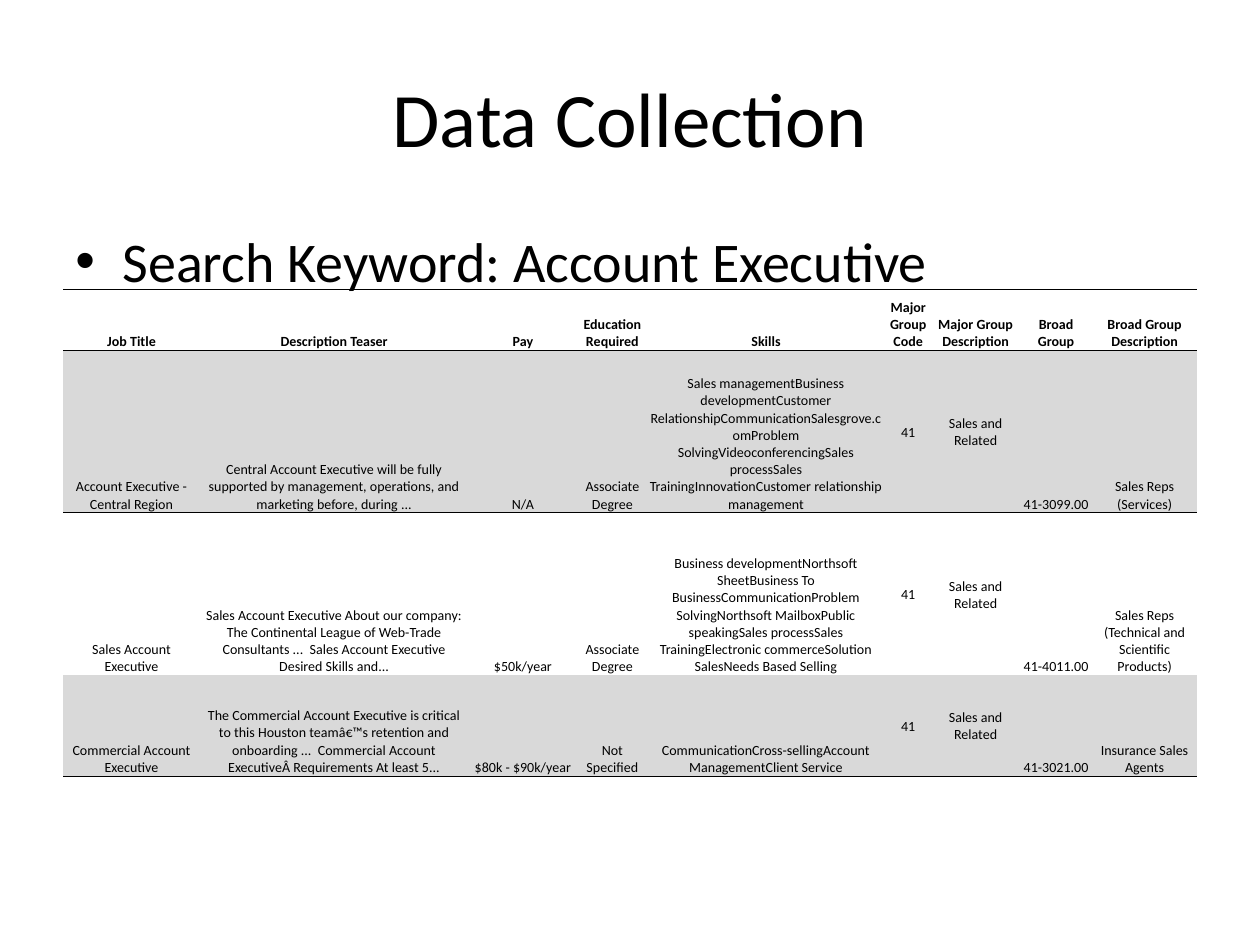
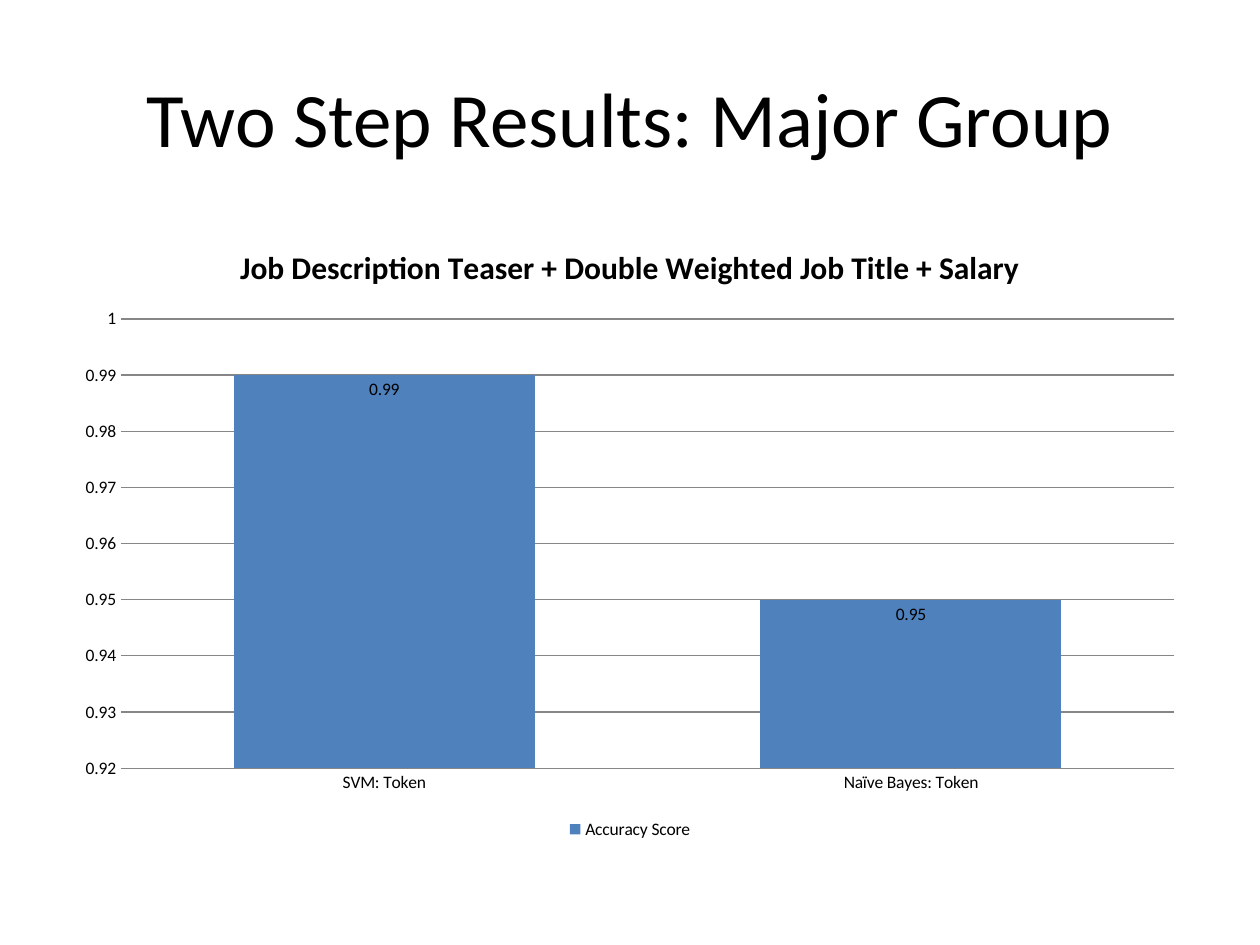
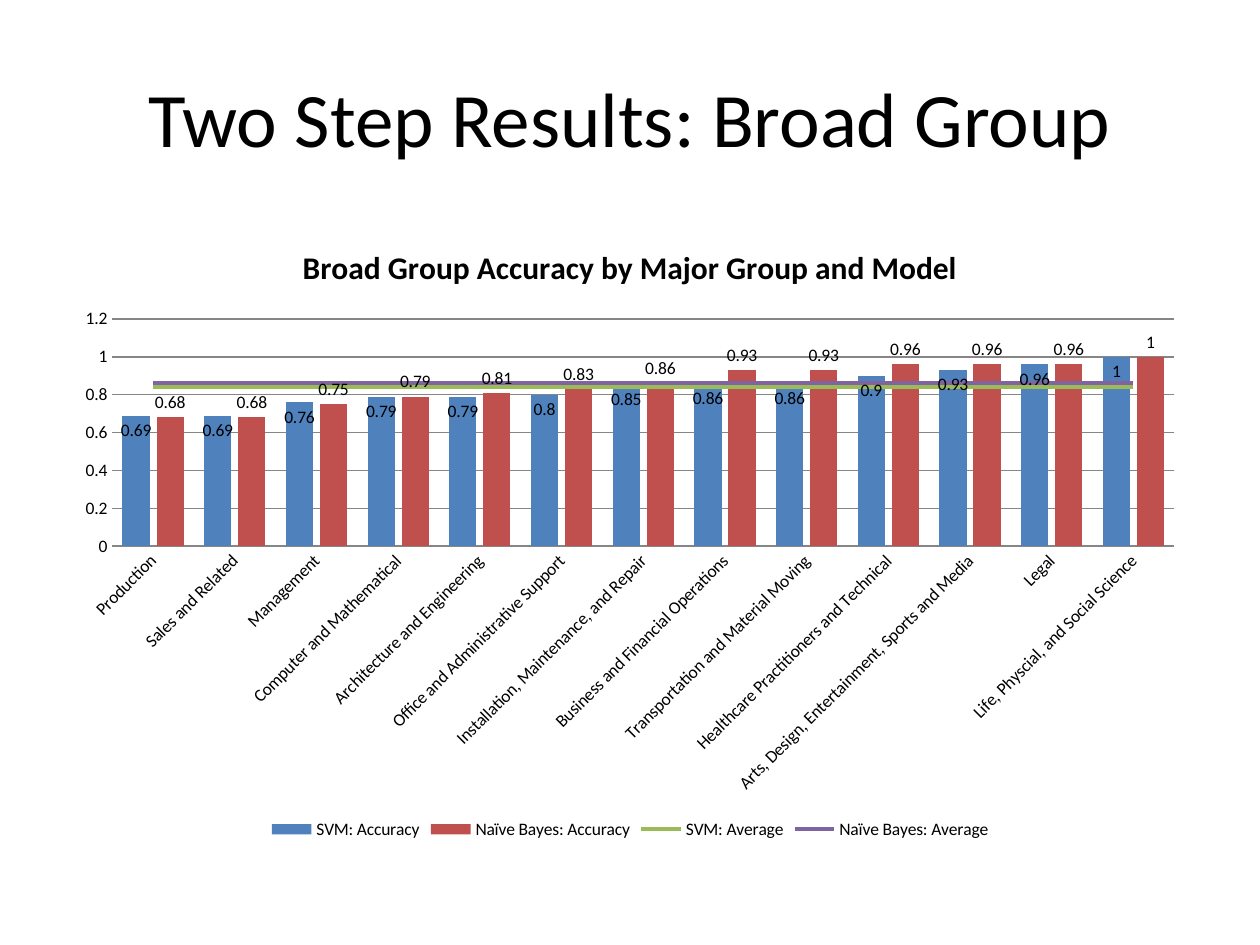
from dataclasses import dataclass, field

from lxml import etree
from pptx import Presentation
from pptx import oxml
from pptx.chart.chart import Chart
from pptx.chart.data import CategoryChartData
from pptx.dml import color
from pptx.enum import chart as ch, text as tx
from pptx.oxml import ns
from pptx.presentation import Presentation as Deck
from pptx.slide import Slide
from pptx.table import Table, _Cell
from pptx.text.text import TextFrame, _Paragraph
from pptx.util import Pt


@dataclass(frozen=True)
class Theme:
    font: str = "Calibri"
    ink: str = "000000"
    band: str = "D9D9D9"
    grid: str = "868686"
    blue: str = "4F81BD"
    red: str = "C0504D"
    green: str = "9BBB59"
    plum: str = "8064A2"
    title: float = 44
    body: float = 32
    head: float = 18
    chart: float = 10
    cell: float = 8
    rule: float = 0.5
    axis: float = 0.75
    line: float = 2.25


@dataclass(frozen=True)
class Box:
    left: float
    top: float
    width: float
    height: float

    def spots(self) -> tuple[Pt, ...]:
        return Pt(self.left), Pt(self.top), Pt(self.width), Pt(self.height)


@dataclass(frozen=True)
class Set:
    """One chart series; a label place of None means no labels."""
    name: str
    vals: list[float]
    hue: str
    label: ch.XL_LABEL_POSITION | None = None


@dataclass(frozen=True)
class Graph:
    title: str
    cats: list[str]
    bars: list[Set]
    low: float
    high: float
    step: float
    lines: list[Set] = field(default_factory=list)
    tilt: int = 0


THEME = Theme()
HEAD = Box(36, 21.6, 648, 90)
BODY = Box(36, 126, 648, 356.4)
GRID = Box(36, 165.6, 648, 277.9)
WIDTHS = [78.4, 153.2, 62.6, 39.6, 136, 26.6, 50.4, 41.6, 59.6]
HEIGHTS = [34.6, 92.9, 92.9, 57.5]
MIDDLE = {"Major Group Code", "Major Group Description"}
JOBS = [
    ["Job Title", "Description Teaser", "Pay", "Education Required", "Skills",
     "Major Group Code", "Major Group Description", "Broad Group", "Broad Group Description"],
    ["Account Executive - Central Region",
     "Central Account Executive will be fully supported by management, operations, "
     "and marketing before, during ...",
     "N/A", "Associate Degree",
     "Sales managementBusiness developmentCustomer RelationshipCommunication"
     "Salesgrove.comProblem SolvingVideoconferencingSales processSales Training"
     "InnovationCustomer relationship management",
     "41", "Sales and Related", "41-3099.00", "Sales Reps (Services)"],
    ["Sales Account Executive",
     "Sales Account Executive About our company: The Continental League of Web-Trade "
     "Consultants ...  Sales Account Executive Desired Skills and...",
     "$50k/year", "Associate Degree",
     "Business developmentNorthsoft SheetBusiness To BusinessCommunicationProblem "
     "SolvingNorthsoft MailboxPublic speakingSales processSales Training"
     "Electronic commerceSolution SalesNeeds Based Selling",
     "41", "Sales and Related", "41-4011.00",
     "Sales Reps (Technical and Scientific Products)"],
    ["Commercial Account Executive",
     "The Commercial Account Executive is critical to this Houston teamâ€™s retention "
     "and onboarding ...  Commercial Account ExecutiveÂ Requirements At least 5...",
     "$80k - $90k/year", "Not Specified",
     "CommunicationCross-sellingAccount ManagementClient Service",
     "41", "Sales and Related", "41-3021.00", "Insurance Sales Agents"],
]
INSIDE = ch.XL_LABEL_POSITION.INSIDE_END
ABOVE = ch.XL_LABEL_POSITION.OUTSIDE_END
FIELDS = ["Production", "Sales and Related", "Management", "Computer and Mathematical",
          "Architecture and Engineering", "Office and Administrative Support",
          "Installation, Maintenance, and Repair", "Business and Financial Operations",
          "Transportation and Material Moving", "Healthcare Practitioners and Technical",
          "Arts, Design, Entertainment, Sports and Media", "Legal",
          "Life, Physcial, and Social Science"]
MAJOR = Graph(
    "Job Description Teaser + Double Weighted Job Title + Salary",
    ["SVM: Token", "Naïve Bayes: Token"],
    [Set("Accuracy Score", [0.99, 0.95], THEME.blue, INSIDE)],
    low=0.92, high=1, step=0.01)
BROAD = Graph(
    "Broad Group Accuracy by Major Group and Model",
    FIELDS,
    [Set("SVM: Accuracy", [0.69, 0.69, 0.76, 0.79, 0.79, 0.8, 0.85, 0.86, 0.86,
                           0.9, 0.93, 0.96, 1], THEME.blue, INSIDE),
     Set("Naïve Bayes: Accuracy", [0.68, 0.68, 0.75, 0.79, 0.81, 0.83, 0.86, 0.93, 0.93,
                                   0.96, 0.96, 0.96, 1], THEME.red, ABOVE)],
    low=0, high=1.2, step=0.2,
    lines=[Set("SVM: Average", [0.84] * len(FIELDS), THEME.green),
           Set("Naïve Bayes: Average", [0.86] * len(FIELDS), THEME.plum)],
    tilt=-45)


def rgb(hue: str) -> color.RGBColor:
    return color.RGBColor.from_string(hue)


def node(root: etree._Element, tag: str, **attrs: str) -> etree._Element:
    """Append a child such as a:ln and return it."""
    child = etree.SubElement(root, ns.qn(tag))
    for key, val in attrs.items():
        child.set(key, val)
    return child


def style(font, size: float, bold: bool = False) -> None:
    font.name, font.size, font.bold = THEME.font, Pt(size), bold
    font.color.rgb = rgb(THEME.ink)


def write(frame: TextFrame, words: str, *, size: float, bold: bool = False,
          align: tx.PP_ALIGN = tx.PP_ALIGN.CENTER,
          anchor: tx.MSO_ANCHOR | None = None) -> _Paragraph:
    frame.word_wrap = True
    if anchor is not None:
        frame.vertical_anchor = anchor
    para = frame.paragraphs[0]
    para.alignment = align
    run = para.add_run()
    run.text = words
    style(run.font, size, bold)
    return para


def start(deck: Deck, words: str) -> Slide:
    """Add a slide with its title."""
    slide = deck.slides.add_slide(deck.slide_layouts[5])
    title = slide.shapes.title
    title.left, title.top, title.width, title.height = HEAD.spots()
    write(title.text_frame, words, size=THEME.title, anchor=tx.MSO_ANCHOR.MIDDLE)
    return slide


def point(slide: Slide, words: str) -> None:
    """Add a bulleted line at the top of the body."""
    frame = slide.shapes.add_textbox(*BODY.spots()).text_frame
    para = write(frame, words, size=THEME.body, align=tx.PP_ALIGN.LEFT)
    props = para._p.get_or_add_pPr()
    props.set("marL", str(Pt(27)))
    props.set("indent", str(Pt(-27)))
    node(props, "a:buFont", typeface="Arial")
    node(props, "a:buChar", char="•")


def rule(cell: _Cell, tag: str) -> None:
    """Draw one border: a:lnT or a:lnB."""
    line = node(cell._tc.get_or_add_tcPr(), tag, w=str(Pt(THEME.rule)))
    node(node(line, "a:solidFill"), "a:srgbClr", val=THEME.ink)


def fill(table: Table, row: int, col: int) -> None:
    cell = table.cell(row, col)
    cell.margin_left = cell.margin_right = cell.margin_top = Pt(0.7)
    cell.margin_bottom = 0
    mid = row > 0 and JOBS[0][col] in MIDDLE
    cell.vertical_anchor = tx.MSO_ANCHOR.MIDDLE if mid else tx.MSO_ANCHOR.BOTTOM
    write(cell.text_frame, JOBS[row][col], size=THEME.cell, bold=row == 0)
    if row < 2:
        rule(cell, "a:lnT")
    if row in (0, len(JOBS) - 1):
        rule(cell, "a:lnB")
    if row % 2:
        cell.fill.solid()
        cell.fill.fore_color.rgb = rgb(THEME.band)
    else:
        cell.fill.background()


def tabulate(slide: Slide) -> None:
    table = slide.shapes.add_table(len(JOBS), len(WIDTHS), *GRID.spots()).table
    table.first_row = table.horz_banding = False
    plain = table._tbl.tblPr.find(ns.qn("a:tableStyleId"))
    plain.text = "{2D5ABB26-0587-4C30-8999-92F81FD0307C}"
    for col, width in zip(table.columns, WIDTHS):
        col.width = Pt(width)
    for row, height in enumerate(HEIGHTS):
        table.rows[row].height = Pt(height)
        for col in range(len(WIDTHS)):
            fill(table, row, col)


def split(chart: Chart, count: int) -> None:
    """Turn the series after the first count into lines on the same axes."""
    bars = chart._chartSpace.find(".//" + ns.qn("c:barChart"))
    lines = oxml.parse_xml(f"<c:lineChart {ns.nsdecls('c')}/>")
    node(lines, "c:grouping", val="standard")
    node(lines, "c:varyColors", val="0")
    for item in bars.findall(ns.qn("c:ser"))[count:]:
        for flag in item.findall(ns.qn("c:invertIfNegative")):
            item.remove(flag)
        lines.append(item)
    node(lines, "c:marker", val="1")
    for axis in bars.findall(ns.qn("c:axId")):
        node(lines, "c:axId", val=axis.get("val"))
    bars.addnext(lines)


def scale(chart: Chart, graph: Graph) -> None:
    """Set up both axes."""
    cat, val = chart.category_axis, chart.value_axis
    for axis in (cat, val):
        axis.major_tick_mark = axis.minor_tick_mark = ch.XL_TICK_MARK.NONE
        style(axis.tick_labels.font, THEME.chart)
    cat.has_major_gridlines = False
    val.has_major_gridlines = True
    for part in (cat, val.major_gridlines):
        part.format.line.color.rgb = rgb(THEME.grid)
        part.format.line.width = Pt(THEME.axis)
    val.format.line.fill.background()
    val.minimum_scale, val.maximum_scale = graph.low, graph.high
    val.major_unit = graph.step
    val.tick_labels.number_format = "General"
    val.tick_labels.number_format_is_linked = False
    if graph.tilt:
        props = chart._chartSpace.find(".//" + ns.qn("c:catAx")).find(
            f"{ns.qn('c:txPr')}/{ns.qn('a:bodyPr')}")
        props.set("rot", str(graph.tilt * 60000))
        props.set("vert", "horz")


def plot(slide: Slide, graph: Graph) -> None:
    data = CategoryChartData()
    data.categories = graph.cats
    for item in graph.bars + graph.lines:
        data.add_series(item.name, item.vals)
    chart = slide.shapes.add_chart(
        ch.XL_CHART_TYPE.COLUMN_CLUSTERED, *BODY.spots(), data).chart
    style(chart.font, THEME.chart)
    chart.has_title = True
    write(chart.chart_title.text_frame, graph.title, size=THEME.head, bold=True)
    chart.chart_title.include_in_layout = False
    chart.has_legend = True
    chart.legend.position = ch.XL_LEGEND_POSITION.BOTTOM
    chart.legend.include_in_layout = False
    style(chart.legend.font, THEME.chart)
    scale(chart, graph)
    if graph.lines:
        split(chart, len(graph.bars))

    bars = chart.plots[0]
    bars.gap_width, bars.overlap, bars.vary_by_categories = 75, -25, False
    for item, ser in zip(graph.bars, bars.series):
        ser.format.fill.solid()
        ser.format.fill.fore_color.rgb = rgb(item.hue)
        if item.label is not None:
            tags = ser.data_labels
            tags.show_value, tags.position = True, item.label
            style(tags.font, THEME.chart)
    if graph.lines:
        for item, ser in zip(graph.lines, chart.plots[1].series):
            ser.format.line.color.rgb = rgb(item.hue)
            ser.format.line.width = Pt(THEME.line)
            ser.marker.style = ch.XL_MARKER_STYLE.NONE
            ser.smooth = False


def main() -> None:
    deck = Presentation()
    deck.slide_width, deck.slide_height = Pt(720), Pt(540)
    slide = start(deck, "Data Collection")
    point(slide, "Search Keyword: Account Executive")
    tabulate(slide)
    plot(start(deck, "Two Step Results: Major Group"), MAJOR)
    plot(start(deck, "Two Step Results: Broad Group"), BROAD)
    deck.save("out.pptx")


if __name__ == "__main__":
    main()
